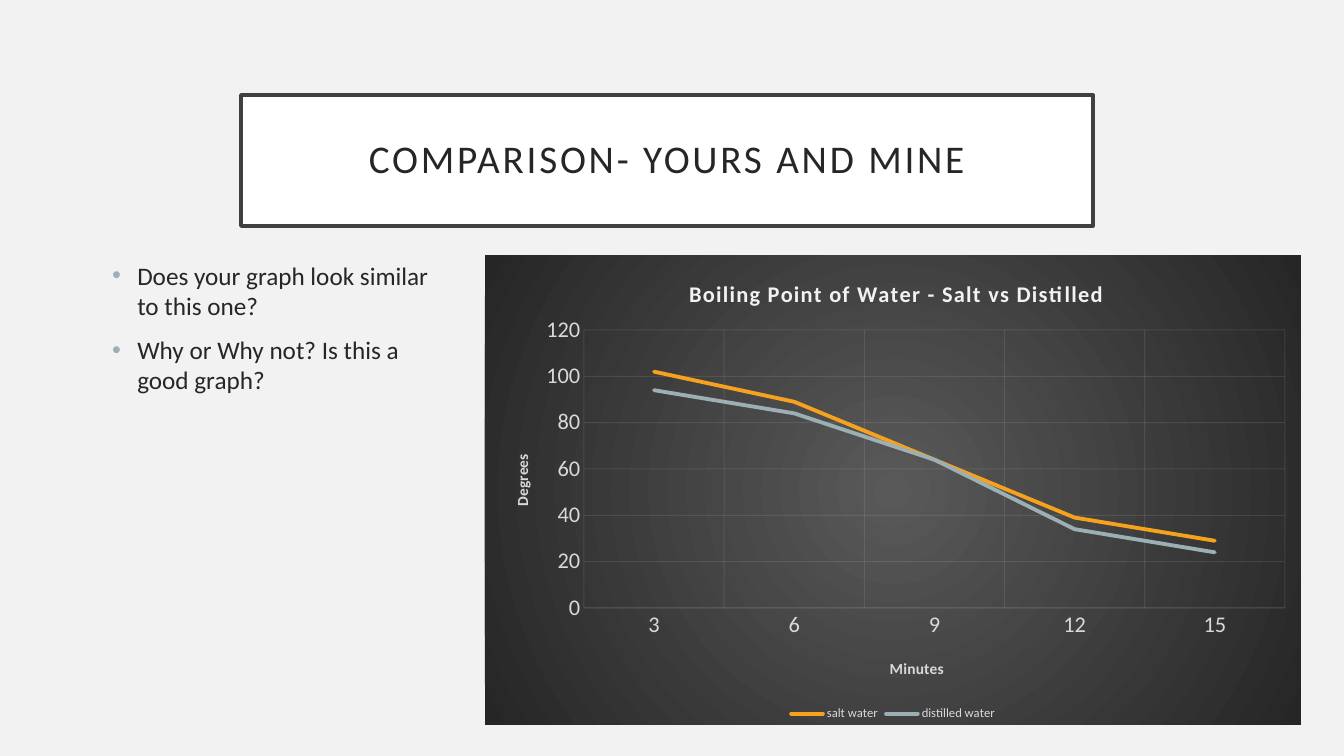
from lxml import etree
from pptx import Presentation
from pptx.chart.data import CategoryChartData
from pptx.dml.color import RGBColor
from pptx.enum.chart import XL_CHART_TYPE, XL_LEGEND_POSITION, XL_TICK_MARK
from pptx.enum.text import MSO_ANCHOR, MSO_AUTO_SIZE, PP_ALIGN
from pptx.oxml import parse_xml
from pptx.oxml.ns import nsdecls, qn
from pptx.util import Pt

LINE_CHART = XL_CHART_TYPE.LINE
LEGEND_BOTTOM = XL_LEGEND_POSITION.BOTTOM
NO_TICK = XL_TICK_MARK.NONE
MIDDLE, TOP = MSO_ANCHOR.MIDDLE, MSO_ANCHOR.TOP
NO_FIT = MSO_AUTO_SIZE.NONE
CENTER, LEFT = PP_ALIGN.CENTER, PP_ALIGN.LEFT

# Content
HEADING = "COMPARISON- YOURS AND MINE"
QUESTIONS = [
    "Does your graph look similar to this one?",
    "Why or Why not? Is this a good graph?",
]
MINUTES = [3, 6, 9, 12, 15]
READINGS = [
    ("salt water", [102, 89, 64, 39, 29], "F6A21D"),
    ("distilled water", [94, 84, 64, 34, 24], "9BAFB5"),
]
GRAPH_TITLE = "Boiling Point of Water - Salt vs Distilled"

# Places in px: left, top, width, height
SLIDE_SIZE = (1344, 756)
HEADING_BOX = (241, 95, 852, 131)
QUESTIONS_BOX = (102, 255, 340, 342)
GRAPH_BOX = (485, 255, 816, 470)
PLOT_BOX = (584, 330, 701, 278)
GRAPH_TITLE_AT = (685, 275)
MINUTES_AT = (887, 655)
DEGREES_AT = (509, 451)

FONT = "Calibri"
PAPER, INK, PALE, BULLET = "F2F2F2", "262626", "D9D9D9", "9BAFB5"
EMU_PER_PX = 914400 / 100.8


def px(length):
    return round(length * EMU_PER_PX)


def rgb(value):
    return RGBColor.from_string(value)


def style(font, size, color, bold=False):
    font.name, font.size, font.bold = FONT, Pt(size), bold
    font.color.rgb = rgb(color)


def move(placeholder, box):
    (placeholder.left, placeholder.top,
     placeholder.width, placeholder.height) = map(px, box)


def pin(parent, index, place, inner=False):
    """Fix a chart part at a place given in slide px."""
    layout = parent.find(qn("c:layout"))
    if layout is None:
        layout = etree.Element(qn("c:layout"))
        parent.insert(index, layout)
    manual = etree.SubElement(layout, qn("c:manualLayout"))
    left, top, width, height = GRAPH_BOX
    shares = [(place[0] - left) / width, (place[1] - top) / height]
    if inner:
        shares += [place[2] / width, place[3] / height]
    settings = [("layoutTarget", "inner")] if inner else []
    settings += [("xMode", "edge"), ("yMode", "edge")]
    settings += [(key, f"{share:.4f}") for key, share in zip("xywh", shares)]
    for tag, value in settings:
        etree.SubElement(manual, qn("c:" + tag)).set("val", value)


def write_title(owner, text, size, color, place, spacing=0, turned=False):
    title = owner.chart_title if hasattr(owner, "chart_title") else owner.axis_title
    frame = title.text_frame
    frame.text = text
    paragraph = frame.paragraphs[0]
    style(paragraph.font, size, color, bold=True)
    if spacing:
        paragraph.font._element.set("spc", str(spacing))
    if turned:
        body = frame._txBody.find(qn("a:bodyPr"))
        body.set("rot", "-5400000")
        body.set("vert", "horz")
    pin(title._element, 1, place)


def faint(line):
    line.color.rgb = rgb(PAPER)
    line.width = Pt(0.75)


prs = Presentation()
prs.slide_width, prs.slide_height = map(px, SLIDE_SIZE)
slide = prs.slides.add_slide(prs.slide_layouts[1])
slide.background.fill.solid()
slide.background.fill.fore_color.rgb = rgb(PAPER)

# Heading
heading = slide.shapes.title
move(heading, HEADING_BOX)
heading.fill.solid()
heading.fill.fore_color.rgb = rgb("FFFFFF")
heading.line.color.rgb = rgb("404040")
heading.line.width = Pt(2.5)
frame = heading.text_frame
frame.text = HEADING
frame.word_wrap = True
frame.auto_size = NO_FIT
frame.vertical_anchor = MIDDLE
frame.margin_left = frame.margin_right = px(20)
frame.margin_top = frame.margin_bottom = px(20)
paragraph = frame.paragraphs[0]
paragraph.alignment, paragraph.line_spacing = CENTER, 0.9
style(paragraph.font, 28, INK)
paragraph.font._element.set("spc", "200")

# Questions
questions = slide.placeholders[1]
move(questions, QUESTIONS_BOX)
frame = questions.text_frame
frame.text = "\n".join(QUESTIONS)
frame.auto_size = NO_FIT
frame.vertical_anchor = TOP
for number, paragraph in enumerate(frame.paragraphs):
    properties = paragraph._p.get_or_add_pPr()
    properties.set("marL", str(px(25.2)))
    properties.set("indent", str(-px(25.2)))
    color = etree.SubElement(properties, qn("a:buClr"))
    etree.SubElement(color, qn("a:srgbClr")).set("val", BULLET)
    etree.SubElement(properties, qn("a:buFont")).set("typeface", "Arial")
    etree.SubElement(properties, qn("a:buChar")).set("char", "•")
    paragraph.alignment = LEFT
    paragraph.space_before = Pt(10 if number else 0)
    style(paragraph.font, 18, INK)

# Graph
data = CategoryChartData()
data.categories = MINUTES
for name, degrees, _ in READINGS:
    data.add_series(name, degrees)
graph = slide.shapes.add_chart(LINE_CHART, *map(px, GRAPH_BOX), data).chart
style(graph.font, 10, PALE)
graph.plots[0].vary_by_categories = False
for series, (_, _, color) in zip(graph.plots[0].series, READINGS):
    series.smooth = False
    series.format.line.color.rgb = rgb(color)
    series.format.line.width = Pt(2.75)
    series._element.find(".//" + qn("a:ln")).set("cap", "rnd")

# Axes with faint lines
minutes_axis, degrees_axis = graph.category_axis, graph.value_axis
for axis in (minutes_axis, degrees_axis):
    axis.major_tick_mark = axis.minor_tick_mark = NO_TICK
    axis.has_major_gridlines = True
    faint(axis.major_gridlines.format.line)
    style(axis.tick_labels.font, 16, PALE)
faint(minutes_axis.format.line)
degrees_axis.format.line.fill.background()
degrees_axis.minimum_scale, degrees_axis.maximum_scale = 0, 120
degrees_axis.major_unit = 20
for axis in (minutes_axis, degrees_axis):
    for color in axis._element.xpath(".//a:ln//a:srgbClr"):
        etree.SubElement(color, qn("a:alpha")).set("val", "10000")

# Titles, plot area and legend
write_title(graph, GRAPH_TITLE, 16, PAPER, GRAPH_TITLE_AT, spacing=100)
write_title(minutes_axis, "Minutes", 11, PALE, MINUTES_AT)
write_title(degrees_axis, "Degrees", 11, PALE, DEGREES_AT, turned=True)
pin(graph._chartSpace.find(".//" + qn("c:plotArea")), 0, PLOT_BOX, inner=True)
graph.has_legend = True
graph.legend.position = LEGEND_BOTTOM
graph.legend.include_in_layout = False
style(graph.legend.font, 9, PALE)

# Radial backdrop of the graph
graph._chartSpace.find(qn("c:chart")).addnext(parse_xml(
    f'<c:spPr {nsdecls("c", "a")}><a:gradFill><a:gsLst>'
    '<a:gs pos="0"><a:srgbClr val="595959"/></a:gs>'
    '<a:gs pos="100000"><a:srgbClr val="262626"/></a:gs></a:gsLst>'
    '<a:path path="circle"><a:fillToRect l="50000" t="50000" r="50000" b="50000"/>'
    '</a:path></a:gradFill><a:ln><a:noFill/></a:ln></c:spPr>'))

prs.save("out.pptx")
